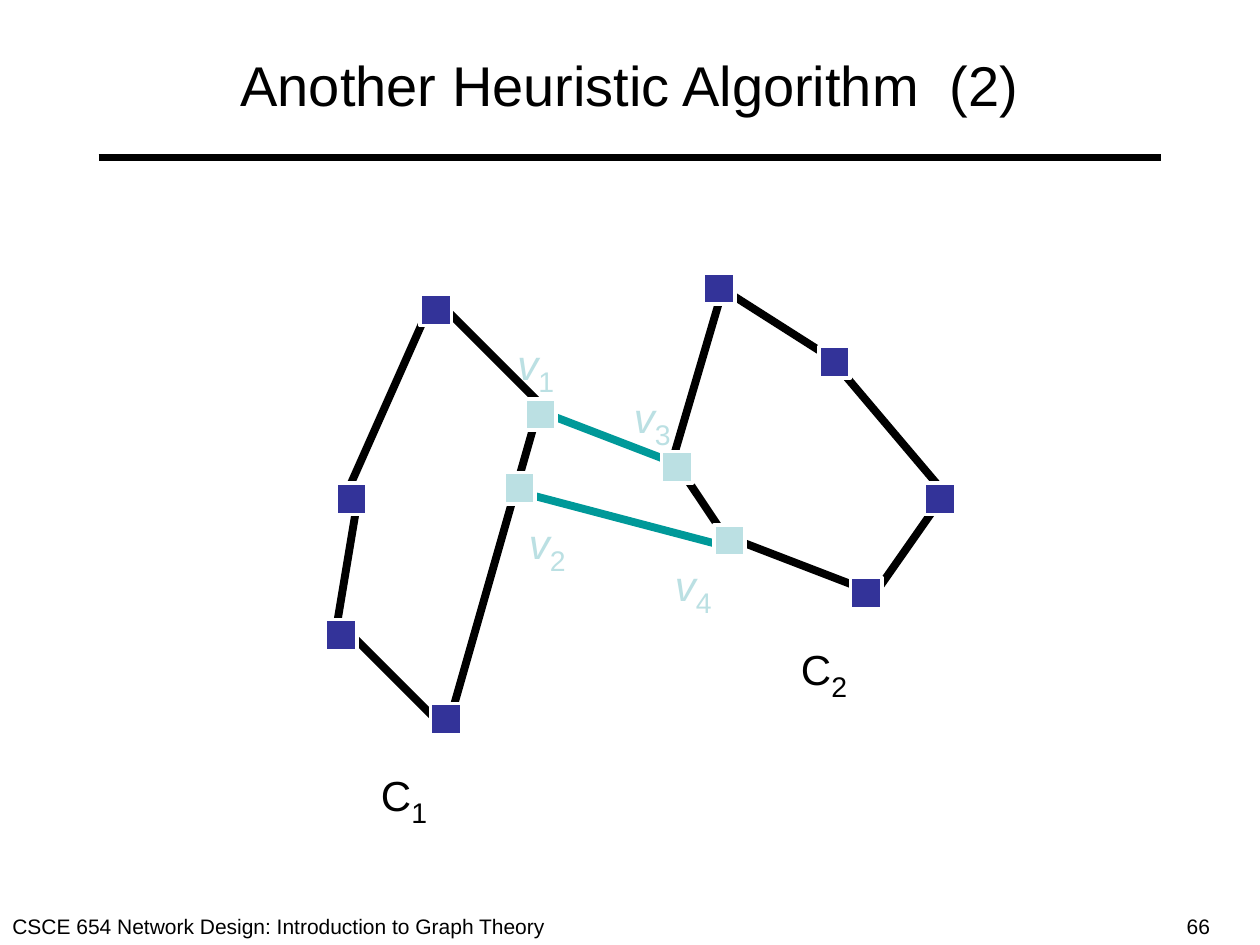
from dataclasses import dataclass

from lxml import etree
from pptx import Presentation
from pptx.dml.color import RGBColor
from pptx.enum.shapes import MSO_CONNECTOR, MSO_SHAPE
from pptx.enum.text import MSO_ANCHOR, MSO_AUTO_SIZE, PP_ALIGN
from pptx.oxml.ns import qn
from pptx.util import Inches, Pt

STRAIGHT = MSO_CONNECTOR.STRAIGHT
RECTANGLE = MSO_SHAPE.RECTANGLE
MIDDLE = MSO_ANCHOR.MIDDLE
CENTER = PP_ALIGN.CENTER
FIT_SHAPE = MSO_AUTO_SIZE.SHAPE_TO_FIT_TEXT
NO_FIT = MSO_AUTO_SIZE.NONE
TITLE_ONLY = 5
CELLS_PER_INCH = 12
NODE_CELLS = 3


@dataclass(frozen=True)
class Theme:
    font: str = "Arial"
    ink: str = "000000"
    paper: str = "FFFFFF"
    node: str = "333399"
    joined_node: str = "BBE0E3"
    link: str = "009999"
    title_size: float = 32
    label_size: float = 24
    subscript_size: float = 28
    footer_size: float = 12
    edge_width: float = 4.5
    node_border: float = 2.25


THEME = Theme()

FIRST_CYCLE_EDGES = [
    ((41, 29), (33, 47)), ((42, 29), (52, 39)), ((49, 47), (51, 40)),
    ((34, 48), (32, 60)), ((33, 60), (42, 69)), ((49, 47), (43, 68)),
]
SECOND_CYCLE_EDGES = [
    ((69, 27), (64, 44)), ((65, 45), (69, 51)), ((69, 51), (82, 56)),
    ((83, 57), (90, 47)), ((90, 47), (79, 34)), ((79, 34), (68, 27)),
]
LINKS = [((51, 39), (64, 44)), ((50, 47), (69, 52))]
NODES = [(67, 26), (78, 33), (88, 46), (41, 67),
         (31, 59), (32, 46), (81, 55), (40, 28)]
JOINED_NODES = [(48, 45), (50, 38), (63, 43), (68, 50)]
CYCLE_LABELS = [("1", 35.1, 72), ("2", 75.1, 60)]
VERTEX_LABELS = [("1", 48.1, 31), ("3", 59.2, 36),
                 ("2", 49.2, 48), ("4", 63.1, 52)]


def cells(count):
    return Inches(count / CELLS_PER_INCH)


def format_run(run, size, color=THEME.ink, italic=False):
    run.font.name = THEME.font
    run.font.size = Pt(size)
    run.font.italic = italic
    run.font.color.rgb = RGBColor.from_string(color)


def add_line(slide, start, end, color=THEME.ink):
    line = slide.shapes.add_connector(
        STRAIGHT, *[cells(value) for value in (*start, *end)])
    line.line.color.rgb = RGBColor.from_string(color)
    line.line.width = Pt(THEME.edge_width)
    properties = line._element.find(qn("p:spPr"))
    etree.SubElement(properties, qn("a:effectLst"))


def add_node(slide, column, row, color):
    node = slide.shapes.add_shape(
        RECTANGLE, cells(column), cells(row),
        cells(NODE_CELLS), cells(NODE_CELLS))
    node.shadow.inherit = False
    node.fill.solid()
    node.fill.fore_color.rgb = RGBColor.from_string(color)
    node.line.color.rgb = RGBColor.from_string(THEME.paper)
    node.line.width = Pt(THEME.node_border)


def add_text(slide, text, left, top, width, height, size,
             subscript="", color=THEME.ink, italic=False):
    box = slide.shapes.add_textbox(
        Inches(left), Inches(top), Inches(width), Inches(height))
    frame = box.text_frame
    frame.word_wrap = False
    frame.auto_size = FIT_SHAPE
    paragraph = frame.paragraphs[0]
    run = paragraph.add_run()
    run.text = text
    format_run(run, size, color, italic)
    if subscript:
        lowered = paragraph.add_run()
        lowered.text = subscript
        format_run(lowered, THEME.subscript_size, color)
        lowered.font._element.set("baseline", "-25000")


def add_label(slide, letter, subscript, column, row, width, **style):
    add_text(slide, letter, column / CELLS_PER_INCH, row / CELLS_PER_INCH,
             width, 0.63, THEME.label_size, subscript=subscript, **style)


def set_title(slide, text):
    title = slide.shapes.title
    title.left, title.top = Inches(0.5), Inches(0.17)
    title.width, title.height = Inches(9), Inches(1)
    frame = title.text_frame
    frame.auto_size = NO_FIT
    frame.vertical_anchor = MIDDLE
    paragraph = frame.paragraphs[0]
    paragraph.alignment = CENTER
    run = paragraph.add_run()
    run.text = text
    format_run(run, THEME.title_size)


def add_frame(slide):
    set_title(slide, "Another Heuristic Algorithm  (2)")
    add_line(slide, (9.4, 15), (110.6, 15))
    add_text(slide, "CSCE 654 Network Design: Introduction to Graph Theory",
             0, 7.2, 4.43, 0.3, THEME.footer_size)
    add_text(slide, "66", 9.32, 7.2, 0.39, 0.3, THEME.footer_size)


def add_graph(slide):
    for start, end in SECOND_CYCLE_EDGES + FIRST_CYCLE_EDGES:
        add_line(slide, start, end)
    for subscript, column, row in CYCLE_LABELS:
        add_label(slide, "C", subscript, column, row, 0.58)
    for column, row in NODES:
        add_node(slide, column, row, THEME.node)
    for start, end in LINKS:
        add_line(slide, start, end, THEME.link)
    for column, row in JOINED_NODES:
        add_node(slide, column, row, THEME.joined_node)
    for subscript, column, row in VERTEX_LABELS:
        add_label(slide, "v", subscript, column, row, 0.5,
                  color=THEME.joined_node, italic=True)


def main():
    presentation = Presentation()
    presentation.slide_width = Inches(10)
    presentation.slide_height = Inches(7.5)
    slide = presentation.slides.add_slide(
        presentation.slide_layouts[TITLE_ONLY])
    add_frame(slide)
    add_graph(slide)
    presentation.save("out.pptx")


if __name__ == "__main__":
    main()
